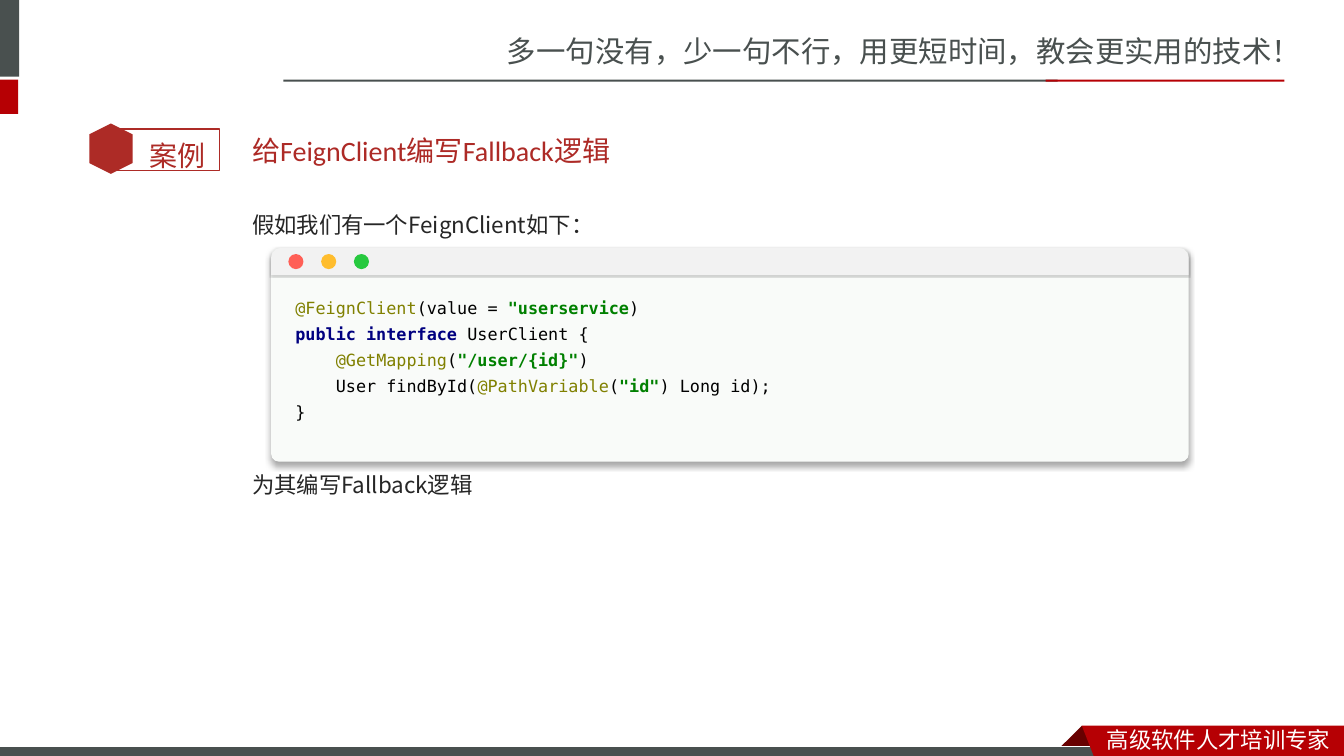
from lxml import etree
from pptx import Presentation
from pptx.dml.color import RGBColor
from pptx.enum.shapes import MSO_SHAPE
from pptx.enum.text import MSO_ANCHOR, MSO_AUTO_SIZE, PP_ALIGN
from pptx.oxml import parse_xml
from pptx.oxml.ns import nsdecls, qn
from pptx.util import Inches, Pt

GRAY, RED, DARK_RED, BRICK = "49504F", "B60004", "680000", "AD2B26"
WHITE, BLACK, INK = "FFFFFF", "000000", "262626"
CJK_FONT = "Noto Sans CJK SC"


def add_run(paragraph, text, size, color, font=CJK_FONT, bold=False, east_asian=CJK_FONT):
    run = paragraph.add_run()
    run.text = text
    run.font.size = Pt(size)
    run.font.bold = bold
    run.font.name = font
    run.font.color.rgb = RGBColor.from_string(color)
    properties = run._r.get_or_add_rPr()
    etree.SubElement(properties, qn("a:ea")).set("typeface", east_asian)


def style_shape(shape, fill=None, line=None, line_width=1, shadow=None):
    """Set fill and outline; shadow is (opacity percent, blur points, distance points)."""
    shape.shadow.inherit = False
    if fill:
        shape.fill.solid()
        shape.fill.fore_color.rgb = RGBColor.from_string(fill)
    else:
        shape.fill.background()
    if line:
        shape.line.color.rgb = RGBColor.from_string(line)
        shape.line.width = Pt(line_width)
    else:
        shape.line.fill.background()
    if shadow:
        opacity, blur, distance = shadow
        effects = shape._element.spPr.find(qn("a:effectLst"))
        effects.append(parse_xml(
            f'<a:outerShdw {nsdecls("a")} blurRad="{Pt(blur)}" dist="{Pt(distance)}" '
            f'dir="5400000" algn="t" rotWithShape="0"><a:srgbClr val="{BLACK}">'
            f'<a:alpha val="{opacity * 1000}"/></a:srgbClr></a:outerShdw>'))


presentation = Presentation()
presentation.slide_width = Inches(13.33)
presentation.slide_height = Inches(7.5)
slide = presentation.slides.add_slide(presentation.slide_layouts[1])
shapes = slide.shapes

# Header bars and rule
for left, top, width, height, color in [
    (-0.06, 0, 0.25, 0.76, GRAY),
    (-0.06, 0.79, 0.24, 0.34, RED),
    (2.81, 0.79, 7.68, 0.02, GRAY),
    (10.37, 0.79, 2.37, 0.02, RED),
]:
    bar = shapes.add_shape(MSO_SHAPE.RECTANGLE, Inches(left), Inches(top),
                           Inches(width), Inches(height))
    style_shape(bar, color)

# Footer: folded corner, strip and ribbon
footer_fold = [(10.73, 7.2), (10.95, 7.42), (10.94, 7.43), (10.52, 7.43), (10.51, 7.42)]
footer_ribbon = [(10.73, 7.2), (13.33, 7.2), (13.33, 7.54), (10.86, 7.53)]
for points, color in [(footer_fold, DARK_RED), (footer_ribbon, RED)]:
    corners = [(Inches(x), Inches(y)) for x, y in points]
    builder = shapes.build_freeform(*corners[0])
    builder.add_line_segments(corners[1:], close=True)
    style_shape(builder.convert_to_shape(), color)
    if points is footer_fold:
        strip = shapes.add_shape(MSO_SHAPE.RECTANGLE, Inches(-0.01), Inches(7.41),
                                 Inches(11), Inches(0.12))
        style_shape(strip, GRAY, WHITE, 0.75)

# Case badge
badge_frame = shapes.add_shape(MSO_SHAPE.RECTANGLE, Inches(1.09), Inches(1.28),
                               Inches(1.09), Inches(0.41))
style_shape(badge_frame, line=BRICK)
badge_hexagon = shapes.add_shape(MSO_SHAPE.HEXAGON, Inches(0.85), Inches(1.26),
                                 Inches(0.5), Inches(0.43))
badge_hexagon.rotation = 90
style_shape(badge_hexagon, BRICK)

# Header, footer and badge labels
for left, top, width, height, text, size, color, font, spacing in [
    (4.93, 0.28, 8.41, 0.47, "多一句没有，少一句不行，用更短时间，教会更实用的技术！", 21, GRAY, CJK_FONT, 1),
    (10.88, 7.15, 2.45, 0.37, "高级软件人才培训专家", 16, WHITE, CJK_FONT, 1),
    (1.38, 1.16, 0.85, 0.56, "案例", 20, BRICK, "Lato", 1.5),
]:
    label = shapes.add_textbox(Inches(left), Inches(top), Inches(width), Inches(height))
    label.text_frame.word_wrap = True
    paragraph = label.text_frame.paragraphs[0]
    paragraph.line_spacing = spacing
    add_run(paragraph, text, size, color, font)

# Title
title = shapes.title
title.left, title.top, title.width, title.height = map(Inches, (2.4, 1.21, 10.08, 0.57))
title.text_frame.auto_size = MSO_AUTO_SIZE.NONE
title.text_frame.vertical_anchor = MSO_ANCHOR.MIDDLE
title.text_frame.paragraphs[0].alignment = PP_ALIGN.LEFT
add_run(title.text_frame.paragraphs[0], "给FeignClient编写Fallback逻辑", 20, "AD2A26", "Calibri")

# Body: the second paragraph sits below the code window
body = slide.placeholders[1]
body.left, body.top, body.width, body.height = map(Inches, (2.4, 1.91, 10.08, 4.11))
body.text_frame.auto_size = MSO_AUTO_SIZE.NONE
body.text_frame.vertical_anchor = MSO_ANCHOR.TOP
body_paragraphs = [body.text_frame.paragraphs[0], body.text_frame.add_paragraph()]
for paragraph, text, space_before in zip(
        body_paragraphs, ["假如我们有一个FeignClient如下：", "为其编写Fallback逻辑"], [3, 157]):
    paragraph.line_spacing = 1.5
    paragraph.space_before = Pt(space_before)
    properties = paragraph._p.get_or_add_pPr()
    properties.set("marL", "0")
    properties.set("indent", "0")
    etree.SubElement(properties, qn("a:buNone"))
    add_run(paragraph, text, 16, INK, "Noto Sans CJK JP", east_asian="Noto Sans CJK JP")

# Code window
window = shapes.add_shape(MSO_SHAPE.ROUNDED_RECTANGLE, Inches(2.69), Inches(2.46),
                          Inches(9.1), Inches(2.12))
window.adjustments[0] = 0.036
style_shape(window, "F9FBF9", shadow=(34, 4, 3))

code_styles = {
    "plain": (BLACK, False),
    "annotation": ("808000", False),
    "string": ("008000", True),
    "keyword": ("000080", True),
}
code_lines = [
    [("@FeignClient", "annotation"), ("(value = ", "plain"),
     ('"userservice', "string"), (")", "plain")],
    [("public interface ", "keyword"), ("UserClient {", "plain")],
    [("    ", "plain"), ("@GetMapping", "annotation"), ("(", "plain"),
     ('"/user/{id}"', "string"), (")", "plain")],
    [("    User findById(", "plain"), ("@PathVariable", "annotation"), ("(", "plain"),
     ('"id"', "string"), (") Long id);", "plain")],
    [("}", "plain")],
]
code_box = shapes.add_textbox(Inches(2.69), Inches(2.84), Inches(8.86), Inches(1.39))
code_frame = code_box.text_frame
code_frame.word_wrap = True
code_frame.margin_left = code_frame.margin_right = Inches(0.24)
for index, tokens in enumerate(code_lines):
    paragraph = code_frame.add_paragraph() if index else code_frame.paragraphs[0]
    paragraph.line_spacing = 1.3
    for text, style in tokens:
        color, bold = code_styles[style]
        add_run(paragraph, text, 12, color, "DejaVu Sans Mono", bold)

window_bar = shapes.add_shape(MSO_SHAPE.ROUND_2_SAME_RECTANGLE, Inches(2.69), Inches(2.46),
                              Inches(9.1), Inches(0.27))
window_bar.adjustments[0] = 0.35
style_shape(window_bar, "F2F2F2", shadow=(20, 1, 1))
for index, color in enumerate(["FF5F56", "FFBD2E", "27C93F"]):
    button = shapes.add_shape(MSO_SHAPE.OVAL, Inches(2.86 + index * 0.325), Inches(2.52),
                              Inches(0.15), Inches(0.15))
    style_shape(button, color)

presentation.save("out.pptx")
